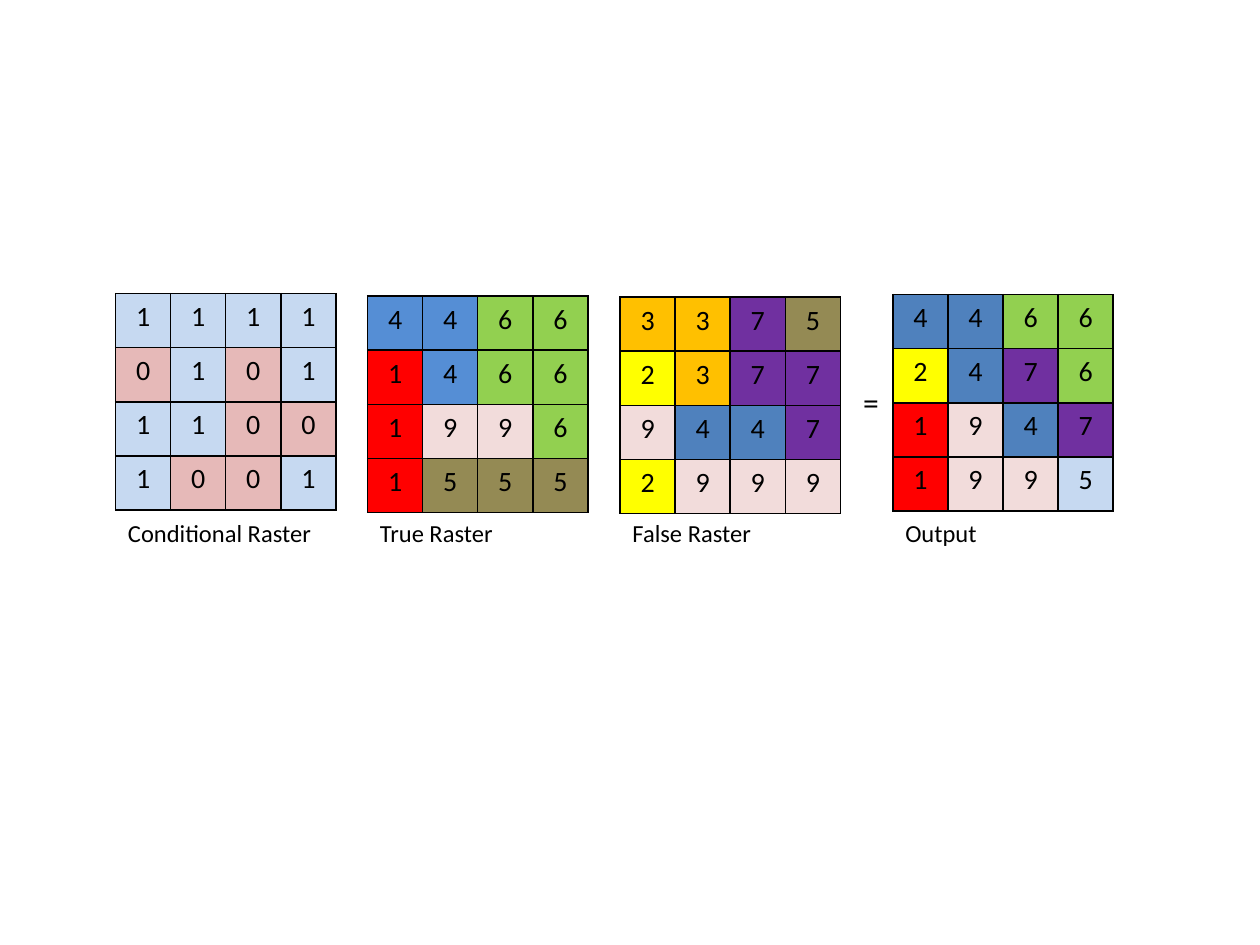
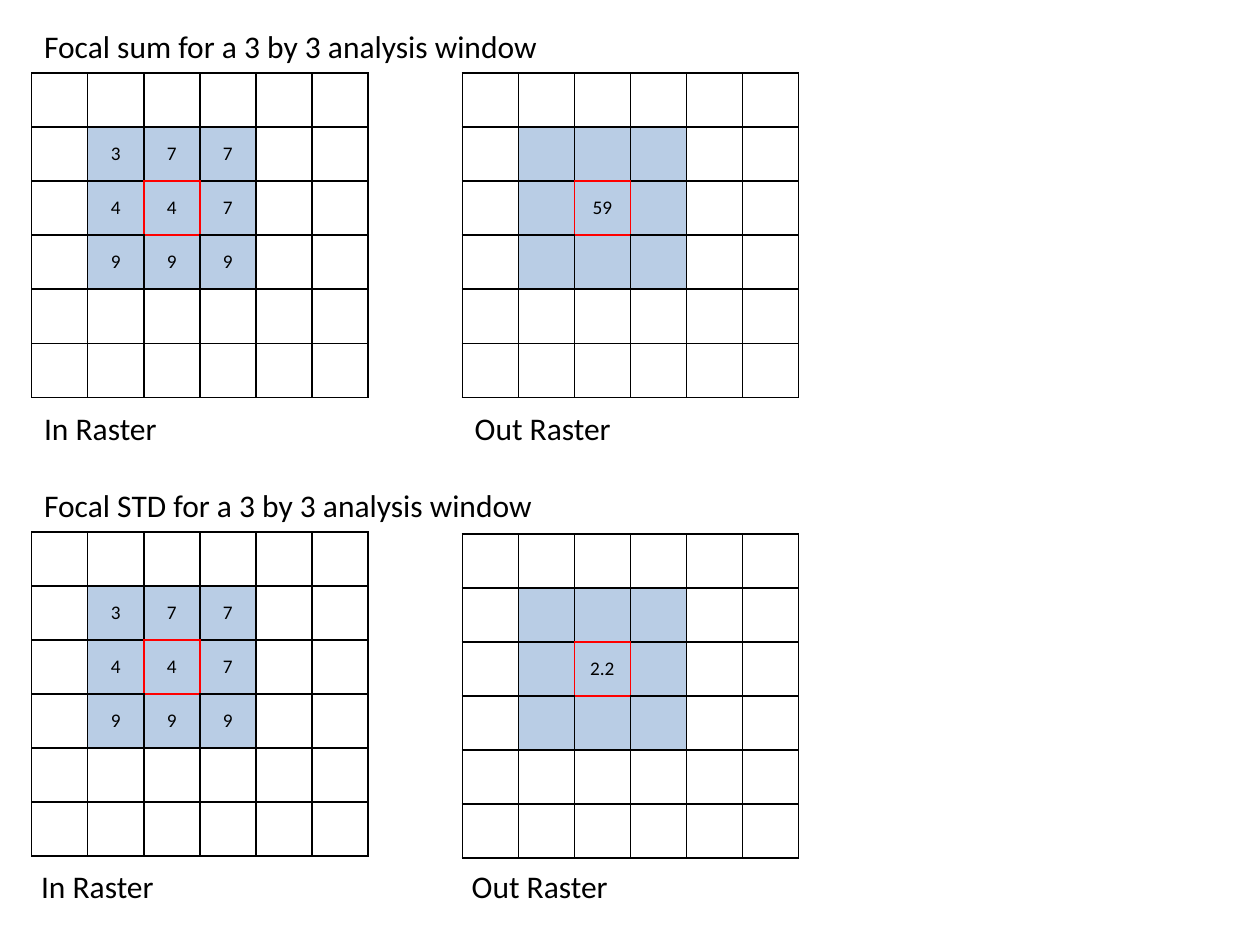
from lxml import etree
from pptx import Presentation
from pptx.dml.color import RGBColor
from pptx.enum import text
from pptx.oxml.ns import qn
from pptx.util import Cm, Pt

FONT = "Calibri"
BLACK = RGBColor(0x00, 0x00, 0x00)
WHITE = RGBColor(0xFF, 0xFF, 0xFF)
RED = RGBColor(0xFF, 0x00, 0x00)
PALE = RGBColor(0xC6, 0xD9, 0xF1)
ROSE = RGBColor(0xE6, 0xB9, 0xB8)
BLUE = RGBColor(0x4F, 0x81, 0xBD)
SKY = RGBColor(0x55, 0x8E, 0xD5)
GREEN = RGBColor(0x92, 0xD0, 0x50)
YELLOW = RGBColor(0xFF, 0xFF, 0x00)
ORANGE = RGBColor(0xFF, 0xC0, 0x00)
PURPLE = RGBColor(0x70, 0x30, 0xA0)
PINK = RGBColor(0xF2, 0xDC, 0xDB)
OLIVE = RGBColor(0x94, 0x8A, 0x54)
WINDOW = RGBColor(0xB9, 0xCD, 0xE5)

FLAGS = {"0": ROSE, "1": PALE}
VALUES = {"1": RED, "2": YELLOW, "3": ORANGE, "4": BLUE, "5": OLIVE,
          "6": GREEN, "7": PURPLE, "9": PINK}
SIDES = {"a:lnL": (0, -1), "a:lnR": (0, 1), "a:lnT": (-1, 0), "a:lnB": (1, 0)}
CELL = 1.09
CENTRE = (2, 2)


class Deck:
    def __init__(self):
        self.prs = Presentation()
        self.prs.slide_width, self.prs.slide_height = Cm(25.4), Cm(19.05)
        self.slide = None

    def page(self):
        self.slide = self.prs.slides.add_slide(self.prs.slide_layouts[6])

    def style(self, para, size):
        for run in para.runs:
            run.font.name, run.font.size = FONT, Pt(size)
            run.font.color.rgb = BLACK

    def label(self, words, left, top, width, height, size, wrap=True):
        box = self.slide.shapes.add_textbox(
            Cm(left), Cm(top), Cm(width), Cm(height))
        frame = box.text_frame
        frame.text = words
        frame.word_wrap = wrap
        frame.auto_size = text.MSO_AUTO_SIZE.SHAPE_TO_FIT_TEXT
        self.style(frame.paragraphs[0], size)

    def edge(self, cell, place, tag, color):
        """Draw one side of a cell; sides come before the fill in the XML."""
        line = etree.Element(qn(tag), w=str(int(Pt(1))))
        fill = etree.SubElement(line, qn("a:solidFill"))
        etree.SubElement(fill, qn("a:srgbClr"), val=str(color))
        cell._tc.get_or_add_tcPr().insert(place, line)

    def raster(self, rows, left, top, wide, size, tint, mark=None,
               anchor=text.MSO_ANCHOR.TOP):
        """Draw rows of values; tint(row, col, value) gives a cell's fill,
        and the cell at mark gets a red frame."""
        count = len(rows)
        table = self.slide.shapes.add_table(
            count, count, Cm(left), Cm(top),
            Cm(wide * count), Cm(CELL * count)).table
        table.first_row = table.horz_banding = False
        for line in table.columns:
            line.width = Cm(wide)
        for line in table.rows:
            line.height = Cm(CELL)
        for r, row in enumerate(rows):
            for c, value in enumerate(row):
                cell = table.cell(r, c)
                cell.fill.solid()
                cell.fill.fore_color.rgb = tint(r, c, value)
                cell.vertical_anchor = anchor
                if value:
                    para = cell.text_frame.paragraphs[0]
                    para.text = value
                    para.alignment = text.PP_ALIGN.CENTER
                    self.style(para, size)
                for place, (tag, (down, over)) in enumerate(SIDES.items()):
                    red = mark in ((r, c), (r + down, c + over))
                    self.edge(cell, place, tag, RED if red else BLACK)


def conditional(deck):
    deck.page()
    grids = [
        ("Conditional Raster", 2.33, 5.92, "1111 0101 1100 1001", FLAGS),
        ("True Raster", 7.41, 5.97, "4466 1466 1996 1555",
         {**VALUES, "4": SKY}),
        ("False Raster", 12.5, 5.99, "3375 2377 9447 2999", VALUES),
        ("Output", 18, 5.94, "4466 2476 1947 1995", {**VALUES, "5": PALE}),
    ]
    for name, left, top, rows, tints in grids:
        deck.raster(rows.split(), left, top, 1.11, 16,
                    lambda r, c, value: tints[value])
        deck.label(name, left, 10.31, 4.45, 0.86, 14)
    deck.label("=", 17.15, 7.59, 0.84, 1.02, 18, wrap=False)


def pad(values):
    """Set a 3 by 3 block of values into an empty 6 by 6 grid."""
    rows = [[""] * 6 for _ in range(6)]
    for r, row in enumerate(values, 1):
        rows[r][1:4] = row
    return rows


def shade(r, c, value):
    return WINDOW if 1 <= r <= 3 and 1 <= c <= 3 else WHITE


def focal(deck):
    deck.page()
    source = pad(["377", "447", "999"])
    bands = [("sum", "59", 0.43, (1.47, 1.47), 8.13, 0),
             ("STD", "2.2", 9.68, (10.72, 10.76), 17.35, -0.06)]
    for kind, result, head, tops, foot, shift in bands:
        deck.label(f"Focal {kind} for a 3 by 3 analysis window",
                   0.64, head, 15.45, 1.02, 18)
        output = pad([[""] * 3, ["", result, ""], [""] * 3])
        grids = [("In Raster", 0.64, source), ("Out Raster", 9.32, output)]
        for (name, left, rows), top in zip(grids, tops):
            deck.raster(rows, left, top, 1.13, 11, shade, CENTRE,
                        text.MSO_ANCHOR.MIDDLE)
            deck.label(name, left + shift, foot, 6.78, 1.02, 18)


def main():
    deck = Deck()
    conditional(deck)
    focal(deck)
    deck.prs.save("out.pptx")


if __name__ == "__main__":
    main()
